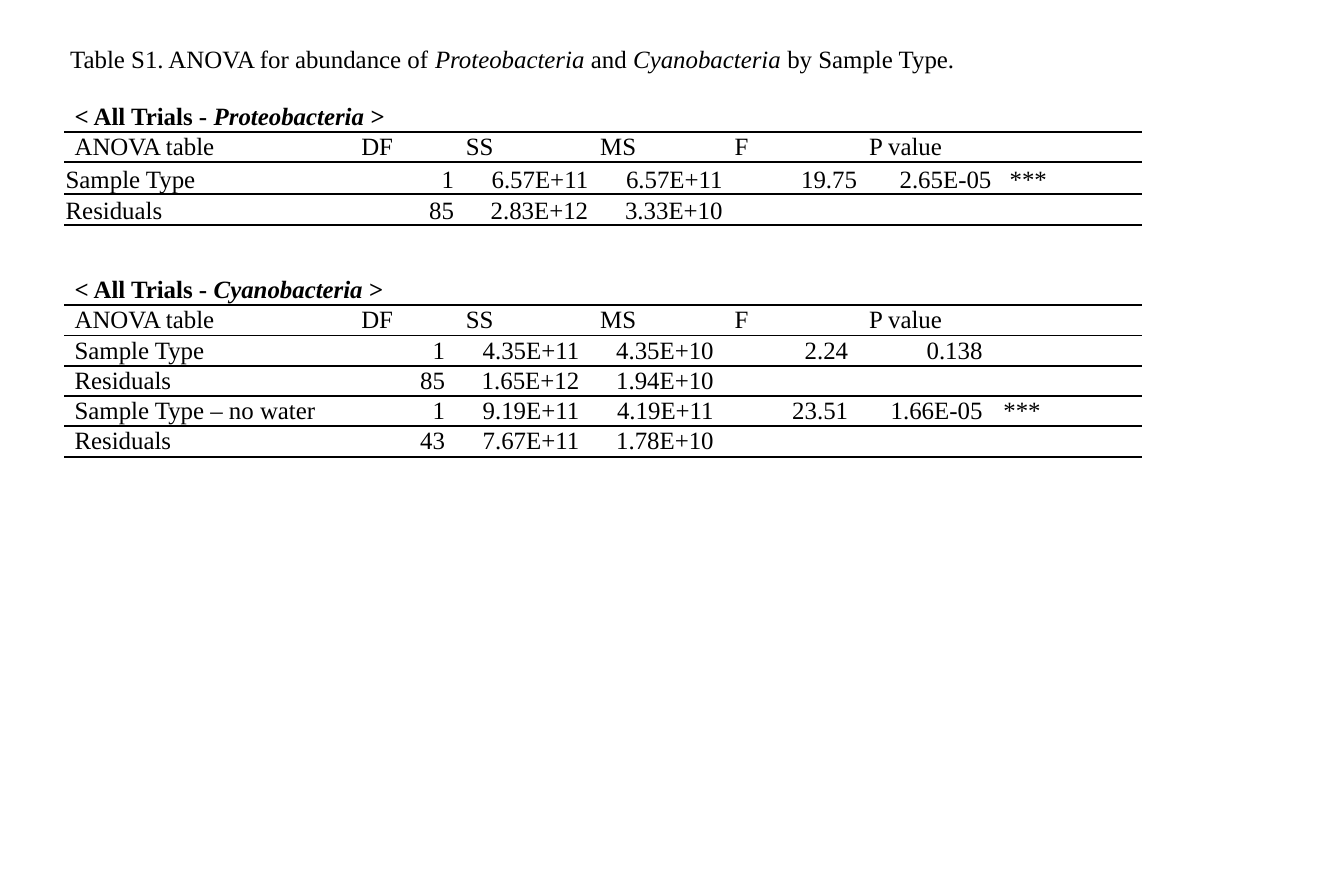
from dataclasses import dataclass

from lxml import etree
from pptx import Presentation
from pptx.dml.color import RGBColor
from pptx.enum.text import MSO_ANCHOR, MSO_AUTO_SIZE, PP_ALIGN
from pptx.oxml.ns import qn
from pptx.util import Emu, Inches, Pt

LEFT, RIGHT = PP_ALIGN.LEFT, PP_ALIGN.RIGHT
TOP, MIDDLE, BOTTOM = MSO_ANCHOR.TOP, MSO_ANCHOR.MIDDLE, MSO_ANCHOR.BOTTOM
NO_AUTOFIT = MSO_AUTO_SIZE.NONE

INK = RGBColor(0x00, 0x00, 0x00)
FONT = "Times New Roman"
TEXT_SIZE = Pt(12)
RULE_WIDTH = Pt(1)
PLAIN_TABLE_STYLE = "{2D5ABB26-0587-4C30-8999-92F81FD0307C}"

# The slide is a grid of 90 columns by 60 rows; table lengths are in grid units
SLIDE_WIDTH, SLIDE_HEIGHT = Inches(9), Inches(6)
GRID_UNIT = SLIDE_WIDTH // 90
TABLE_LEFT = 4.3
COLUMN_SPANS = (19.2, 7, 9, 9, 9, 9, 10)
ROW_SPAN = 2
PADDING = 0.7

HEADINGS = ("ANOVA table", "DF", "SS", "MS", "F", "P value", "")
HEADER_ROWS = 2

Segments = tuple[tuple[str, bool], ...]


@dataclass(frozen=True)
class AnovaTable:
    """One ANOVA table; rules lie above the rows listed in ruled_rows."""
    genus: str
    top: float
    results: tuple[tuple[str, ...], ...]
    ruled_rows: tuple[int, ...]
    result_span: float = ROW_SPAN
    result_padding: float = PADDING
    result_anchor: MSO_ANCHOR = MIDDLE


CAPTION: Segments = (
    ("Table S1. ANOVA for abundance of ", False),
    ("Proteobacteria", True),
    (" and ", False),
    ("Cyanobacteria ", True),
    ("by Sample Type.", False),
)

ANOVA_TABLES = (
    AnovaTable(
        "Proteobacteria", 6.8,
        (("Sample Type", "1", "6.57E+11", "6.57E+11", "19.75", "2.65E-05", " ***"),
         ("Residuals", "85", "2.83E+12", "3.33E+10", "", "", "")),
        ruled_rows=(1, 2), result_span=2.1, result_padding=0.1, result_anchor=BOTTOM),
    AnovaTable(
        "Cyanobacteria", 18.4,
        (("Sample Type", "1", "4.35E+11", "4.35E+10", "2.24", "0.138", ""),
         ("Residuals", "85", "1.65E+12", "1.94E+10", "", "", ""),
         ("Sample Type – no water", "1", "9.19E+11", "4.19E+11", "23.51", "1.66E-05", "***"),
         ("Residuals", "43", "7.67E+11", "1.78E+10", "", "", "")),
        ruled_rows=(1, 2, 4)),
)


def grid(units: float) -> Emu:
    return Emu(round(units * GRID_UNIT))


def write(frame, text: str | Segments, *, bold: bool = False, align: PP_ALIGN = LEFT) -> None:
    """Write plain text, or (text, italic) segments, as one paragraph."""
    paragraph = frame.paragraphs[0]
    paragraph.alignment = align
    segments = ((text, False),) if isinstance(text, str) else text
    for words, italic in segments:
        if not words:
            continue
        run = paragraph.add_run()
        run.text = words
        run.font.name, run.font.size = FONT, TEXT_SIZE
        run.font.bold, run.font.italic = bold, italic
        run.font.color.rgb = INK
    # Keeps the height of blank cells equal to that of filled ones
    end = etree.SubElement(paragraph._p, qn("a:endParaRPr"))
    end.set("sz", str(round(TEXT_SIZE.pt * 100)))


def add_rule(cell, side: str) -> None:
    line = etree.SubElement(cell._tc.get_or_add_tcPr(), qn(f"a:{side}"), w=str(RULE_WIDTH))
    fill = etree.SubElement(line, qn("a:solidFill"))
    etree.SubElement(fill, qn("a:srgbClr"), val=str(INK))


def add_caption(slide) -> None:
    caption = slide.shapes.title
    caption.left, caption.top = grid(3.7), grid(2.4)
    caption.width, caption.height = grid(78.2), grid(3)
    frame = caption.text_frame
    frame.auto_size, frame.word_wrap = NO_AUTOFIT, True
    frame.vertical_anchor = TOP
    write(frame, CAPTION)


def add_anova_table(slide, anova: AnovaTable) -> None:
    heading: Segments = (("< All Trials - ", False), (anova.genus, True), (" >", False))
    rows = ((heading,) + ("",) * (len(HEADINGS) - 1), HEADINGS) + anova.results
    spans = [ROW_SPAN] * HEADER_ROWS + [anova.result_span] * len(anova.results)
    table = slide.shapes.add_table(
        len(rows), len(COLUMN_SPANS), grid(TABLE_LEFT), grid(anova.top),
        grid(sum(COLUMN_SPANS)), grid(sum(spans))).table
    table.first_row = table.horz_banding = False
    table._tbl.tblPr.find(qn("a:tableStyleId")).text = PLAIN_TABLE_STYLE
    for column, span in zip(table.columns, COLUMN_SPANS):
        column.width = grid(span)
    for row, span in zip(table.rows, spans):
        row.height = grid(span)

    last_row, stars_column = len(rows) - 1, len(HEADINGS) - 1
    for r, texts in enumerate(rows):
        is_result = r >= HEADER_ROWS
        for c, text in enumerate(texts):
            cell = table.cell(r, c)
            is_number = is_result and 0 < c < stars_column
            padding = anova.result_padding if is_result and c < stars_column else PADDING
            cell.margin_left = cell.margin_right = grid(padding)
            cell.margin_top = cell.margin_bottom = 0
            cell.vertical_anchor = anova.result_anchor if is_result else MIDDLE
            write(cell.text_frame, text, bold=r == 0, align=RIGHT if is_number else LEFT)
            if r in anova.ruled_rows:
                add_rule(cell, "lnT")
            if r == last_row or r + 1 in anova.ruled_rows:
                add_rule(cell, "lnB")
            cell.fill.background()
    # The heading spans every column but the one for significance stars
    table.cell(0, 0).merge(table.cell(0, stars_column - 1))


def main() -> None:
    presentation = Presentation()
    presentation.slide_width, presentation.slide_height = SLIDE_WIDTH, SLIDE_HEIGHT
    title_only = presentation.slide_layouts[5]
    slide = presentation.slides.add_slide(title_only)
    add_caption(slide)
    for anova in ANOVA_TABLES:
        add_anova_table(slide, anova)
    presentation.save("out.pptx")


if __name__ == "__main__":
    main()
